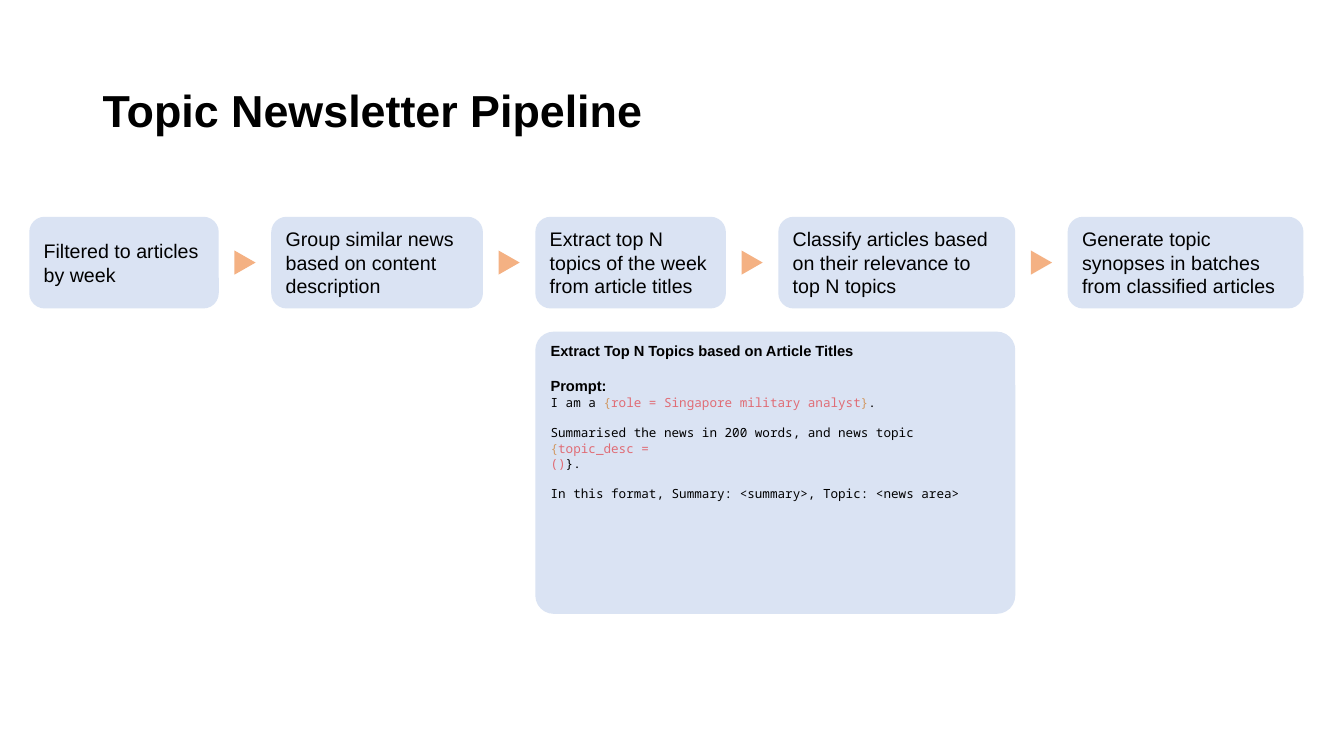
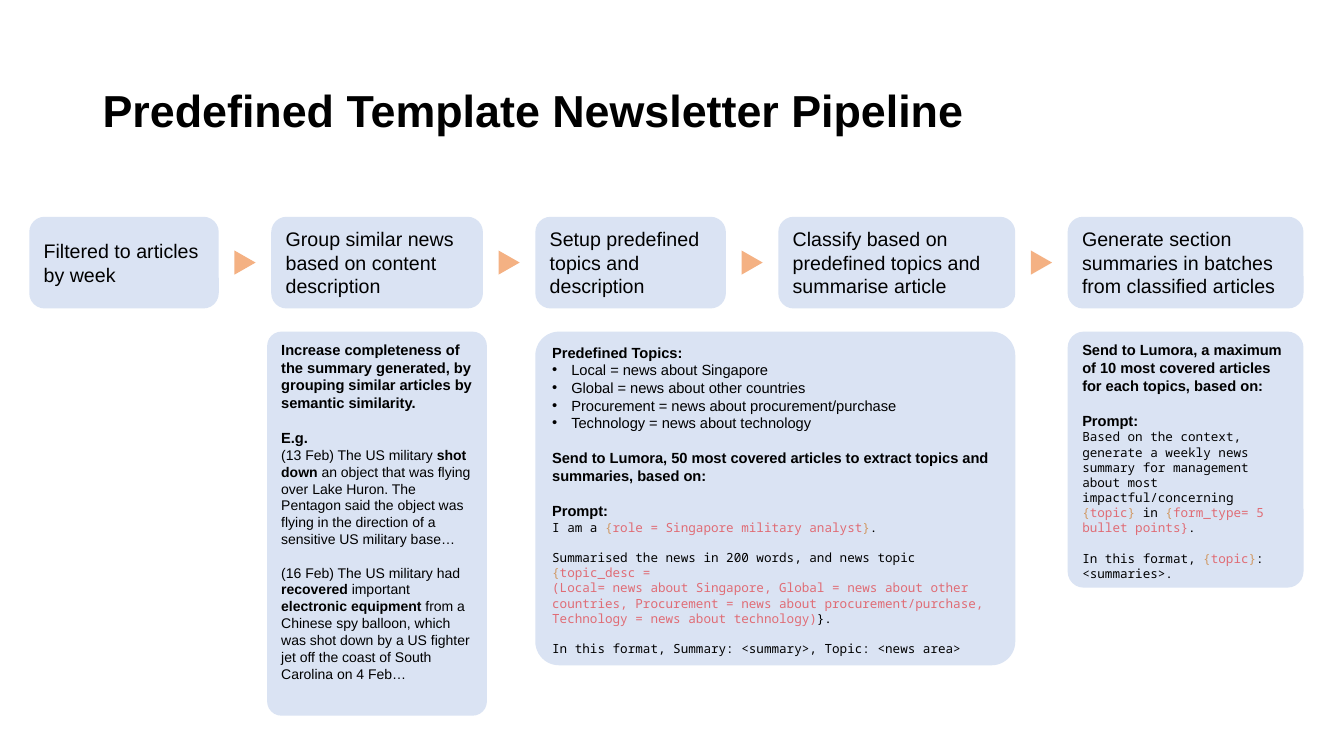
from dataclasses import dataclass
from itertools import accumulate

from lxml.etree import SubElement
from pptx import Presentation
from pptx.dml.color import RGBColor
from pptx.enum.shapes import MSO_SHAPE as Preset
from pptx.enum.text import MSO_ANCHOR as Anchor, PP_ALIGN as Align
from pptx.oxml.ns import qn
from pptx.util import Inches, Pt

# Shared look
COLORS = {"ink": "000000", "panel": "DAE3F3", "arrow": "F4B183",
          "brace": "D19A66", "slot": "E06C75"}
SANS, MONO = "Arial", "Noto Sans Mono"
WIDTH, HEIGHT = Inches(13.33), Inches(7.5)

# Grid, in percent of the slide's width and height
COLUMN_WIDTHS = [14.1, 15.75, 14.18, 17.63, 17.55]
GUTTER = 3.9
COLUMN_LEFTS = list(accumulate((w + GUTTER for w in COLUMN_WIDTHS[:-1]), initial=2.18))
STAGE_TOP, STAGE_HEIGHT = 28.67, 12.13
DETAIL_TOP = 43.87
ARROW_WIDTH, ARROW_HEIGHT = 1.8, 2.8
TITLE_AREA = (6.9, 5.33, 86.27, 19.33)


@dataclass(frozen=True)
class Style:
    font: str
    size: float
    bold: bool = False


TITLE = Style(SANS, 32, True)
STAGE = Style(SANS, 14)
HEADING = Style(SANS, 10.5, True)
ITEM = Style(SANS, 10.5)
EXAMPLE = Style(SANS, 10)
CODE = Style(MONO, 9)


@dataclass(frozen=True)
class Run:
    text: str
    color: str = "ink"
    bold: bool = False


@dataclass(frozen=True)
class Line:
    style: Style
    content: str | list[Run]
    gap: float = 0
    bullet: bool = False


@dataclass(frozen=True)
class Detail:
    first: int
    last: int
    height: float
    corner: float
    lines: list[Line]
    overhang: float = 0


@dataclass(frozen=True)
class Pipeline:
    title: str
    stages: list[str]
    details: list[Detail]


def area(left: float, top: float, width: float, height: float) -> tuple[int, ...]:
    """Turn percentages of the slide into lengths."""
    return (int(WIDTH * left / 100), int(HEIGHT * top / 100),
            int(WIDTH * width / 100), int(HEIGHT * height / 100))


def rgb(name: str) -> RGBColor:
    return RGBColor.from_string(COLORS[name])


# Text
def write_line(paragraph, line: Line) -> None:
    if line.bullet:
        props = paragraph._p.get_or_add_pPr()
        props.set("marL", str(Inches(0.19)))
        props.set("indent", str(-Inches(0.19)))
        SubElement(props, qn("a:buFont"), typeface=SANS)
        SubElement(props, qn("a:buChar"), char="•")
    paragraph.alignment = Align.LEFT
    paragraph.space_before = Pt(line.gap)
    font = paragraph.font
    font.name, font.size = line.style.font, Pt(line.style.size)
    if isinstance(line.content, str):
        font.bold = line.style.bold
        font.color.rgb = rgb("ink")
        paragraph.add_run().text = line.content
        return
    for part in line.content:
        run = paragraph.add_run()
        run.text = part.text
        run.font.bold = part.bold
        run.font.color.rgb = rgb(part.color)


def write(frame, lines: list[Line], anchor: Anchor) -> None:
    frame.word_wrap = True
    frame.vertical_anchor = anchor
    for index, line in enumerate(lines):
        write_line(frame.add_paragraph() if index else frame.paragraphs[0], line)


# Parts of a pipeline slide
def add_filled(slide, preset: Preset, place: tuple[int, ...], color: str):
    shape = slide.shapes.add_shape(preset, *place)
    shape.shadow.inherit = False
    shape.fill.solid()
    shape.fill.fore_color.rgb = rgb(color)
    shape.line.fill.background()
    return shape


def add_title(slide, title: str) -> None:
    frame = slide.shapes.add_textbox(*area(*TITLE_AREA)).text_frame
    write(frame, [Line(TITLE, title)], Anchor.MIDDLE)
    frame.paragraphs[0].line_spacing = 0.9


def add_stage(slide, column: int, label: str) -> None:
    place = area(COLUMN_LEFTS[column], STAGE_TOP, COLUMN_WIDTHS[column], STAGE_HEIGHT)
    box = add_filled(slide, Preset.ROUNDED_RECTANGLE, place, "panel")
    write(box.text_frame, [Line(STAGE, label)], Anchor.MIDDLE)


def add_arrow(slide, next_column: int) -> None:
    left = COLUMN_LEFTS[next_column] - (GUTTER + ARROW_WIDTH) / 2
    top = STAGE_TOP + (STAGE_HEIGHT - ARROW_HEIGHT) / 2
    arrow = add_filled(slide, Preset.ISOSCELES_TRIANGLE,
                       area(left, top, ARROW_WIDTH, ARROW_HEIGHT), "arrow")
    arrow.rotation = 90


def add_detail(slide, detail: Detail) -> None:
    left = COLUMN_LEFTS[detail.first] - detail.overhang
    right = COLUMN_LEFTS[detail.last] + COLUMN_WIDTHS[detail.last] + detail.overhang
    place = area(left, DETAIL_TOP, right - left, detail.height)
    box = add_filled(slide, Preset.ROUNDED_RECTANGLE, place, "panel")
    box.adjustments[0] = detail.corner
    write(box.text_frame, detail.lines, Anchor.TOP)


def add_pipeline(deck, pipeline: Pipeline) -> None:
    slide = deck.slides.add_slide(deck.slide_layouts[6])
    add_title(slide, pipeline.title)
    for column, label in enumerate(pipeline.stages):
        add_stage(slide, column, label)
    for next_column in range(1, len(pipeline.stages)):
        add_arrow(slide, next_column)
    for detail in pipeline.details:
        add_detail(slide, detail)


# Content
OPEN, CLOSE = Run("{", "brace"), Run("}", "brace")
HEADING_GAP, EXAMPLE_GAP, CODE_GAP = 12.5, 12, 11
PROMPT = Line(HEADING, "Prompt:", HEADING_GAP)


def analyst_prompt(topics: str) -> list[Line]:
    return [
        PROMPT,
        Line(CODE, [Run("I am a "), OPEN, Run("role = Singapore military analyst", "slot"),
                    CLOSE, Run(".")]),
        Line(CODE, [Run("Summarised the news in 200 words, and news topic "), OPEN,
                    Run("topic_desc =", "slot")], CODE_GAP),
        Line(CODE, [Run(f"({topics})", "slot"), Run("}.")]),
        Line(CODE, "In this format, Summary: <summary>, Topic: <news area>", CODE_GAP),
    ]


TOPICS = {"Local": "news about Singapore", "Global": "news about other countries",
          "Procurement": "news about procurement/purchase",
          "Technology": "news about technology"}
TOPIC_ITEMS = [f"{name} = {scope}" for name, scope in TOPICS.items()]

extract_topics = Detail(2, 3, 37.33, 0.065, [
    Line(HEADING, "Extract Top N Topics based on Article Titles"),
    *analyst_prompt(""),
])
predefined_topics = Detail(2, 3, 44.13, 0.071, [
    Line(HEADING, "Predefined Topics:"),
    *(Line(ITEM, item, bullet=True) for item in TOPIC_ITEMS),
    Line(HEADING, "Send to Lumora, 50 most covered articles to extract topics and "
                  "summaries, based on:", HEADING_GAP),
    *analyst_prompt(", ".join(TOPIC_ITEMS).replace("Local =", "Local=")),
])
section_summaries = Detail(4, 4, 33.87, 0.068, [
    Line(HEADING, "Send to Lumora, a maximum of 10 most covered articles for each "
                  "topics, based on:"),
    PROMPT,
    Line(CODE, [Run("Based on the context, generate a weekly news summary for management "
                    "about most impactful/concerning "),
                OPEN, Run("topic", "slot"), CLOSE, Run(" in "),
                OPEN, Run("form_type= 5 bullet points}", "slot"), Run(".")]),
    Line(CODE, [Run("In this format, "), OPEN, Run("topic", "slot"), CLOSE,
                Run(": <summaries>.")], CODE_GAP),
])
similar_news = Detail(1, 1, 50.8, 0.065, [
    Line(HEADING, "Increase completeness of the summary generated, by grouping similar "
                  "articles by semantic similarity."),
    Line(HEADING, "E.g.", HEADING_GAP),
    Line(EXAMPLE, [Run("(13 Feb) The US military "), Run("shot down ", bold=True),
                   Run("an object that was flying over Lake Huron. The Pentagon said the "
                       "object was flying in the direction of a sensitive US military "
                       "base…")]),
    Line(EXAMPLE, [Run("(16 Feb) The US military had "), Run("recovered ", bold=True),
                   Run("important"), Run(" electronic equipment ", bold=True),
                   Run("from a Chinese spy balloon, which was shot down by a US fighter "
                       "jet off the coast of South Carolina on 4 Feb…")], EXAMPLE_GAP),
], overhang=0.3)

SHARED_STAGES = ["Filtered to articles by week",
                 "Group similar news based on content description"]
PIPELINES = [
    Pipeline("Topic Newsletter Pipeline", [
        *SHARED_STAGES,
        "Extract top N topics of the week from article titles",
        "Classify articles based on their relevance to top N topics",
        "Generate topic synopses in batches from classified articles",
    ], [extract_topics]),
    Pipeline("Predefined Template Newsletter Pipeline", [
        *SHARED_STAGES,
        "Setup predefined topics and description",
        "Classify based on predefined topics and summarise article",
        "Generate section summaries in batches from classified articles",
    ], [predefined_topics, section_summaries, similar_news]),
]

# Build
deck = Presentation()
deck.slide_width, deck.slide_height = WIDTH, HEIGHT
for pipeline in PIPELINES:
    add_pipeline(deck, pipeline)
deck.save("out.pptx")
